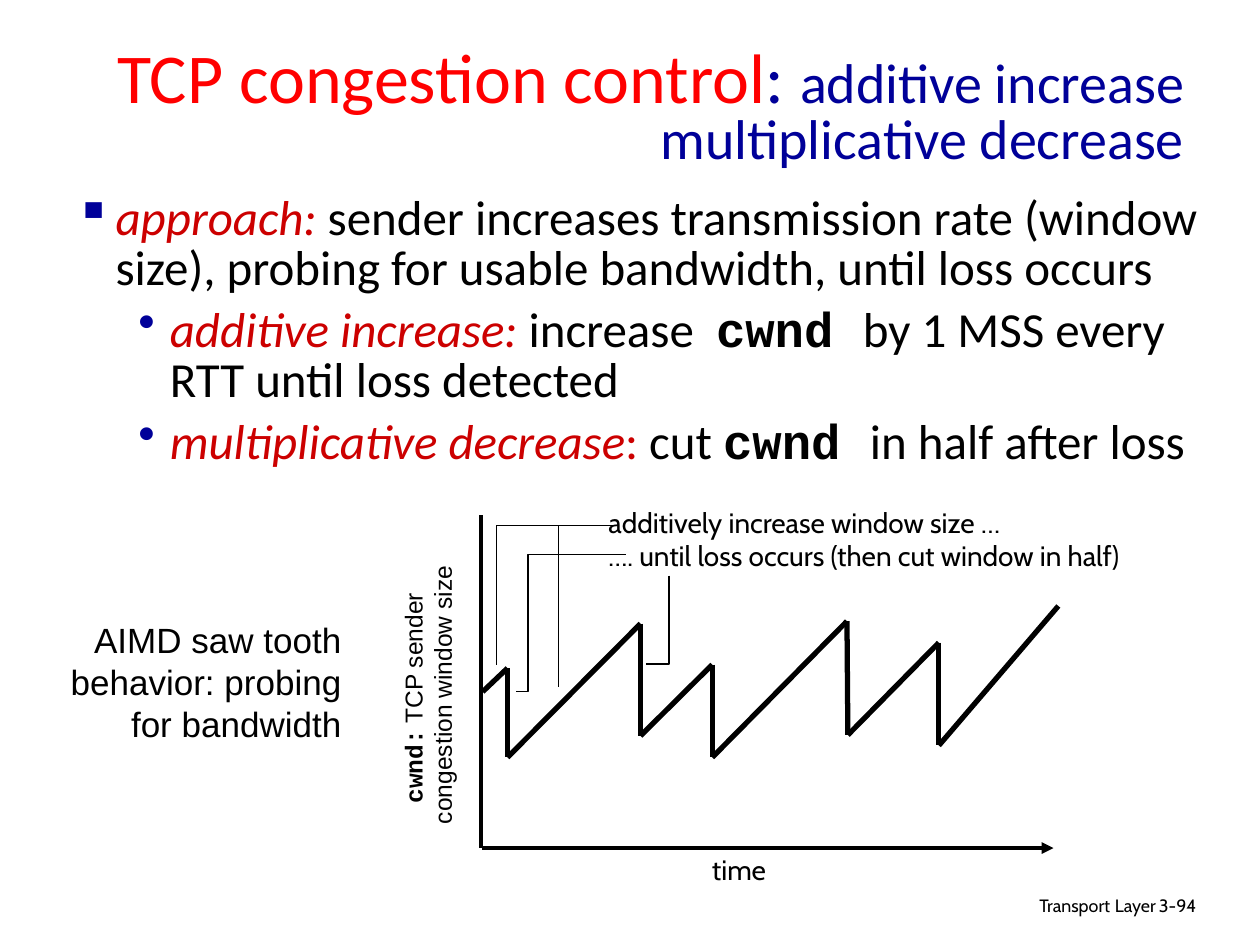
from itertools import pairwise

from lxml import etree
from pptx import Presentation
from pptx.dml.color import RGBColor
from pptx.enum.shapes import MSO_CONNECTOR
from pptx.enum.text import MSO_ANCHOR, PP_ALIGN
from pptx.oxml.ns import qn
from pptx.util import Pt

LEFT, CENTER, RIGHT = PP_ALIGN.LEFT, PP_ALIGN.CENTER, PP_ALIGN.RIGHT
MIDDLE = MSO_ANCHOR.MIDDLE
STRAIGHT = MSO_CONNECTOR.STRAIGHT
BLACK = RGBColor(0x00, 0x00, 0x00)
WHITE = RGBColor(0xFF, 0xFF, 0xFF)
RED = RGBColor(0xFF, 0x00, 0x00)
DARK_RED = RGBColor(0xCC, 0x00, 0x00)
NAVY = RGBColor(0x00, 0x00, 0x99)

prs = Presentation()
prs.slide_width, prs.slide_height = Pt(720), Pt(540)
slide = prs.slides.add_slide(prs.slide_layouts[6])


def add_text(box, paragraphs, face, size, align=LEFT, spacing=None, wrap=False, bullets=()):
    left, top, width, height = box
    label = slide.shapes.add_textbox(Pt(left), Pt(top), Pt(width), Pt(height))
    frame = label.text_frame
    frame.word_wrap = wrap
    for index, runs in enumerate(paragraphs):
        paragraph = frame.add_paragraph() if index else frame.paragraphs[0]
        paragraph.alignment = align
        if spacing:
            paragraph.line_spacing = spacing
        if bullets:
            symbol, margin, hanging = bullets[index]
            if index:
                paragraph.space_before = Pt(7)
            props = paragraph._p.get_or_add_pPr()
            props.set("marL", str(Pt(margin)))
            props.set("indent", str(Pt(-hanging)))
            tint = etree.SubElement(props, qn("a:buClr"))
            etree.SubElement(tint, qn("a:srgbClr"), val=str(NAVY))
            etree.SubElement(props, qn("a:buChar"), char=symbol)
        paragraph.font.name = face
        paragraph.font.size = Pt(size)
        paragraph.font.color.rgb = BLACK
        for text, style in runs:
            run = paragraph.add_run()
            run.text = text
            for key, value in style.items():
                if key == "color":
                    run.font.color.rgb = value
                else:
                    setattr(run.font, key, value)
    return label


def add_line(start, end, weight):
    line = slide.shapes.add_connector(STRAIGHT, *[Pt(v) for v in (*start, *end)])
    line.line.color.rgb = BLACK
    line.line.width = Pt(weight)
    etree.SubElement(line._element.spPr, qn("a:effectLst"))
    return line


term = {"color": DARK_RED, "italic": True}
code = {"name": "Courier New", "bold": True}

add_text((439, 507.6, 228.5, 22),
         [[("Transport", {}), (" ", {"size": Pt(11.9)}), ("Layer", {})]],
         "Cabin", 10.2, RIGHT, 0.9, True)
add_text((655.2, 509, 53.3, 21.6), [[("3-94", {})]], "Cabin", 10.2, LEFT, 0.9, True)

title = add_text((18, 18, 666, 90),
                 [[("TCP congestion control", {"color": RED, "size": Pt(40)}),
                   (": ", {"color": NAVY, "size": Pt(40)}),
                   ("additive increase multiplicative decrease", {"color": NAVY})]],
                 "Calibri", 32, RIGHT, 0.8, True)
title.text_frame.vertical_anchor = MIDDLE

add_text((36, 108, 659.5, 113.8),
         [[("approach: ", term),
           ("sender increases transmission rate (window size), probing for usable "
            "bandwidth, until loss occurs", {})],
          [("additive increase:", term), (" increase  ", {}), ("cwnd ", code),
           ("by 1 MSS every RTT until loss detected", {})],
          [("multiplicative decrease", term), (":", {"color": DARK_RED}),
           (" cut ", {}), ("cwnd ", code), ("in half after loss", {})]],
         "Calibri", 28, LEFT, 0.85, True,
         [("▪", 23, 23), ("•", 54, 18), ("•", 54, 18)])

axis_label = add_text((163.4, 376.6, 162, 41),
                      [[("cwnd:", code), (" TCP sender ", {})],
                       [("congestion window size", {})]],
                      "Arial", 14, CENTER)
axis_label.rotation = 270
axis_label.fill.solid()
axis_label.fill.fore_color.rgb = WHITE

add_text((33.1, 349.9, 169.2, 79.2),
         [[("AIMD saw tooth", {})], [("behavior: probing", {})], [("for bandwidth", {})]],
         "Arial", 20, RIGHT)

time_axis = add_line((275.5, 484.6), (602, 484.6), 2.25)
etree.SubElement(time_axis.line._get_or_add_ln(), qn("a:tailEnd"), type="triangle")
add_line((275, 294.5), (275, 484.6), 2.25)

sawtooth = [(275.8, 395.3), (290, 381.8), (290, 432.8), (366, 356.4), (366, 420.5),
            (407, 379.8), (407, 432.8), (484, 355), (484.5, 420), (536.5, 367.2),
            (536.5, 426), (604.8, 346.3)]
for start, end in pairwise(sawtooth):
    add_line(start, end, 3)

add_text((340.6, 285.1, 344.2, 46),
         [[("additively increase window size …", {})],
          [("…. until loss occurs (then cut window in half)", {})]],
         "Cabin", 16)

leaders = [
    [(351.4, 300.2), (283.7, 300.2), (283.7, 380.2)],
    [(357.5, 316.8), (301.7, 316.8), (301.7, 395.3), (294.8, 395.3)],
    [(351.4, 300.2), (319, 300.2), (319, 392.4)],
    [(382.3, 329), (382.3, 379.4), (369.4, 379.4)],
]
for (x, y), *corners in leaders:
    outline = slide.shapes.build_freeform(Pt(x), Pt(y))
    outline.add_line_segments([(Pt(a), Pt(b)) for a, b in corners], close=False)
    leader = outline.convert_to_shape()
    leader.shadow.inherit = False
    leader.fill.background()
    leader.line.color.rgb = BLACK
    leader.line.width = Pt(0.75)

add_text((398.2, 483.8, 48.2, 26.6), [[("time", {})]], "Cabin", 16, CENTER)

prs.save("out.pptx")
